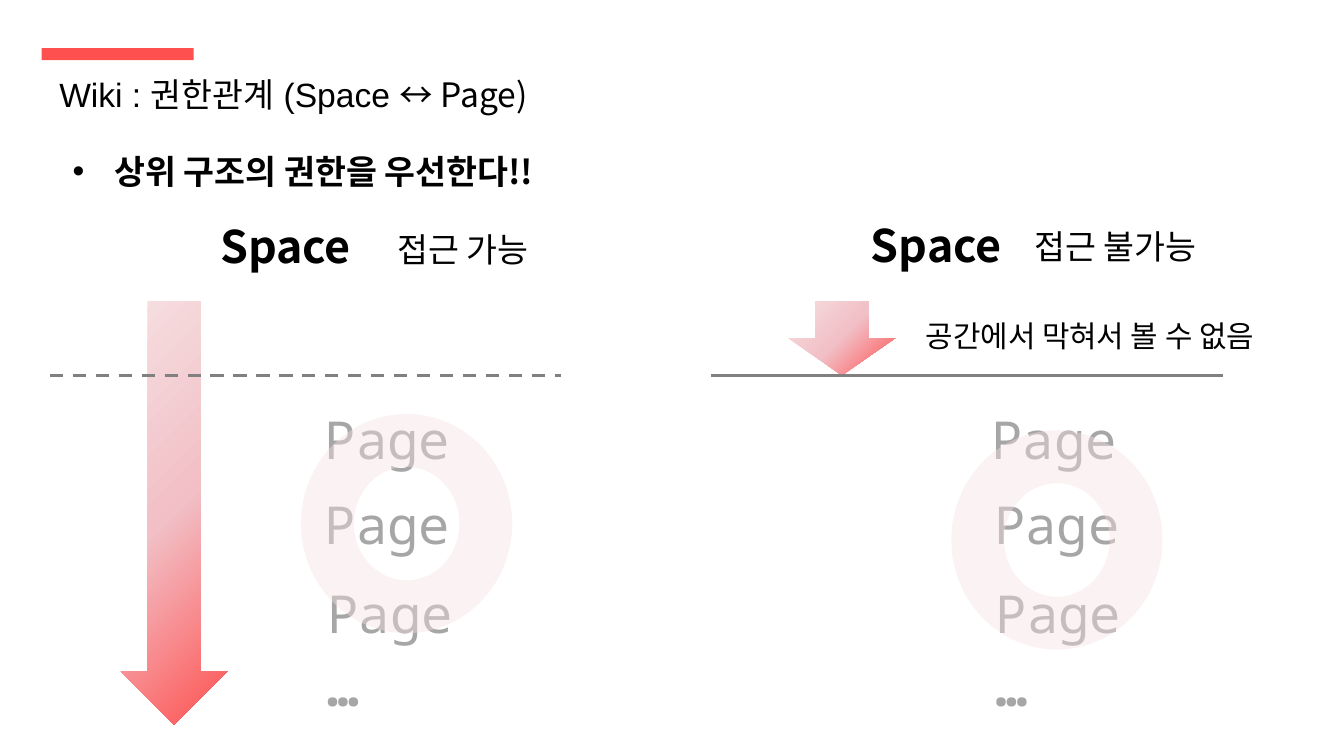
"""Build the slide on wiki permissions between spaces and pages."""
from dataclasses import dataclass

from pptx import Presentation
from pptx import oxml as ox
from pptx import util as u
from pptx.dml import color
from pptx.enum import dml, shapes, text
from pptx.oxml import ns

KR, MONO = "Noto Sans CJK KR", "Noto Sans Mono"
BLACK, GRAY, LINE, RED, PINK, PALE = "000000", "A6A6A6", "808080", "FF5050", "F1BFC5", "F6E0E2"
PAGE_TOPS = (7.57, 9.17, 10.85, 12.24)
PAGE_WORDS = ("Page", "Page", "Page", "…")
ARROW_TOP, ARROW_W, LINE_Y, LINE_W = 5.69, 2.01, 7.09, 9.67


@dataclass(frozen=True)
class Label:
    words: str
    x: float
    y: float
    w: float
    h: float
    size: float = 18
    font: str = KR
    colour: str = BLACK
    bold: bool = False


@dataclass(frozen=True)
class Panel:
    space: Label
    access: Label
    page_lefts: tuple[float, ...]
    arrow_x: float
    arrow_len: float
    line_x: float
    dashed: bool
    ring_x: float
    ring_y: float


PANELS = (
    Panel(Label("Space", 3.91, 4.01, 3.78, 1.27, 24, bold=True),
          Label("접근 가능", 7.26, 4.19, 4.6, 1.02),
          (5.89, 5.89, 5.94, 5.94), 3.29, 8, 0.94, True, 5.69, 7.82),
    Panel(Label("Space", 16.21, 3.99, 3.78, 1.27, 24, bold=True),
          Label("접근 불가능", 19.3, 4.14, 4.6, 1.02),
          (18.49, 18.54, 18.57, 18.57), 15.91, 1.4, 13.44, False, 17.98, 8.13),
)


def rgb(value: str) -> color.RGBColor:
    """Turn a hex string into a colour."""
    return color.RGBColor.from_string(value)


def add_run(p, words: str, size: float, font: str, colour: str, bold: bool = False) -> None:
    """Add one formatted run with the same Latin and East Asian font."""
    r = p.add_run()
    r.text = words
    r.font.size, r.font.bold, r.font.name = u.Pt(size), bold, font
    r.font.color.rgb = rgb(colour)
    ea = ox.parse_xml(f'<a:ea {ns.nsdecls("a")} typeface="{font}"/>')
    r.font._element.find(ns.qn("a:latin")).addnext(ea)


def place(sp, x: float, y: float, w: float, h: float) -> None:
    """Move and size a shape in centimetres."""
    sp.left, sp.top, sp.width, sp.height = u.Cm(x), u.Cm(y), u.Cm(w), u.Cm(h)


def set_frame(sp):
    """Prepare a text frame and return its first paragraph."""
    tf = sp.text_frame
    tf.word_wrap, tf.auto_size = True, text.MSO_AUTO_SIZE.NONE
    tf.vertical_anchor = text.MSO_ANCHOR.TOP
    p = tf.paragraphs[0]
    p.alignment, p.space_before = text.PP_ALIGN.LEFT, u.Pt(0)
    return p


def add_label(s, label: Label) -> None:
    """Add a one-line text box."""
    sp = s.shapes.add_textbox(u.Cm(label.x), u.Cm(label.y), u.Cm(label.w), u.Cm(label.h))
    add_run(set_frame(sp), label.words, label.size, label.font, label.colour, label.bold)


def add_shape(s, kind, x: float, y: float, w: float, h: float, colour: str):
    """Add a flat shape without outline or shadow."""
    sp = s.shapes.add_shape(kind, u.Cm(x), u.Cm(y), u.Cm(w), u.Cm(h))
    sp.shadow.inherit = False
    sp.line.fill.background()
    sp.fill.solid()
    sp.fill.fore_color.rgb = rgb(colour)
    return sp


def add_arrow(s, centre: float, length: float) -> None:
    """Add a downward arrow with a radial gradient."""
    sp = add_shape(s, shapes.MSO_SHAPE.RIGHT_ARROW, centre - length / 2,
                   ARROW_TOP + (length - ARROW_W) / 2, length, ARROW_W, RED)
    sp.rotation = 90
    stops = "".join(f'<a:gs pos="{pos}000"><a:srgbClr val="{c}"/></a:gs>'
                    for pos, c in ((0, RED), (50, PINK), (100, PALE)))
    grad = ox.parse_xml(
        f'<a:gradFill {ns.nsdecls("a")} rotWithShape="0"><a:gsLst>{stops}</a:gsLst>'
        '<a:path path="circle"><a:fillToRect l="100000" t="100000"/></a:path></a:gradFill>')
    solid = sp._element.spPr.find(ns.qn("a:solidFill"))
    solid.getparent().replace(solid, grad)


def add_border(s, x: float, dashed: bool) -> None:
    """Add the line between space and pages."""
    y = u.Cm(LINE_Y)
    c = s.shapes.add_connector(shapes.MSO_CONNECTOR.STRAIGHT, u.Cm(x), y, u.Cm(x + LINE_W), y)
    c.line.color.rgb, c.line.width = rgb(LINE), u.Pt(1.75)
    if dashed:
        c.line.dash_style = dml.MSO_LINE.DASH
    c._element.spPr.append(ox.parse_xml(f'<a:effectLst {ns.nsdecls("a")}/>'))


def add_ring(s, x: float, y: float) -> None:
    """Add a translucent ring over the pages."""
    sp = add_shape(s, shapes.MSO_SHAPE.DONUT, x, y, 3.99, 4.14, PALE)
    clr = sp._element.spPr.find(f'{ns.qn("a:solidFill")}/{ns.qn("a:srgbClr")}')
    clr.append(ox.parse_xml(f'<a:alpha {ns.nsdecls("a")} val="41000"/>'))


def add_panel(s, panel: Panel) -> None:
    """Draw one access case."""
    add_label(s, panel.space)
    add_label(s, panel.access)
    add_arrow(s, panel.arrow_x, panel.arrow_len)
    for words, x, y in zip(PAGE_WORDS, panel.page_lefts, PAGE_TOPS):
        add_label(s, Label(words, x, y, 6.2, 1.45, 28, MONO, GRAY, words == "…"))
    add_border(s, panel.line_x, panel.dashed)
    add_ring(s, panel.ring_x, panel.ring_y)


def add_heading(s) -> None:
    """Fill the title and body placeholders."""
    title, body = s.shapes.title, s.placeholders[1]
    place(title, 0.94, 1.3, 15.77, 0.97)
    p = set_frame(title)
    tf = title.text_frame
    tf.margin_left = tf.margin_right = u.Cm(0.18)
    tf.margin_top = tf.margin_bottom = u.Cm(0.1)
    add_run(p, "Wiki : 권한관계 (Space ", 18, "Arial", BLACK)
    add_run(p, "↔ Page)", 18, KR, BLACK)

    place(body, 1.12, 2.72, 18.97, 1.02)
    p = set_frame(body)
    pPr = p._p.get_or_add_pPr()
    pPr.set("marL", str(u.Cm(0.79)))
    pPr.set("indent", str(-u.Cm(0.79)))
    pPr.append(ox.parse_xml(f'<a:buFont {ns.nsdecls("a")} typeface="Arial"/>'))
    pPr.append(ox.parse_xml(f'<a:buChar {ns.nsdecls("a")} char="•"/>'))
    add_run(p, "상위 구조의 권한을 우선한다!!", 18, KR, BLACK, True)


def main() -> None:
    """Build and save the slide."""
    prs = Presentation()
    prs.slide_width, prs.slide_height = u.Cm(25.4), u.Cm(14.28)
    s = prs.slides.add_slide(prs.slide_layouts[1])
    add_shape(s, shapes.MSO_SHAPE.RECTANGLE, 0.79, 0.91, 2.87, 0.23, RED)
    add_heading(s)
    for panel in PANELS:
        add_panel(s, panel)
    add_label(s, Label("공간에서 막혀서 볼 수 없음", 17.25, 5.87, 8.71, 0.94, 16))
    prs.save("out.pptx")


if __name__ == "__main__":
    main()
